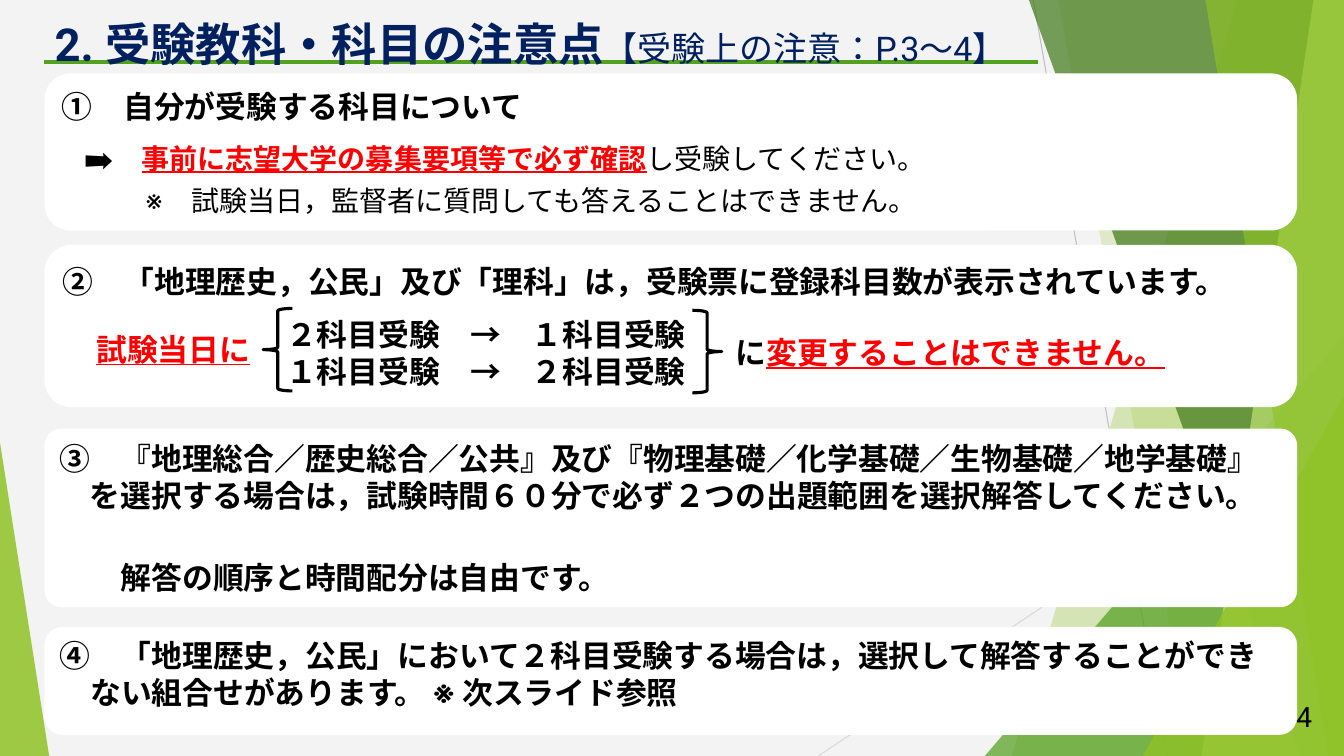
from dataclasses import dataclass
from lxml.etree import SubElement as Sub
from pptx import Presentation
from pptx.dml.color import RGBColor as Rgb
from pptx.enum.lang import MSO_LANGUAGE_ID as Lang
from pptx.enum.shapes import MSO_CONNECTOR as Conn, MSO_SHAPE as Kind
from pptx.enum.text import MSO_ANCHOR as Anchor, MSO_AUTO_SIZE as Auto, PP_ALIGN as Align
from pptx.oxml.ns import qn
from pptx.util import Cm, Pt


@dataclass(frozen=True)
class Theme:
    back: str = "F3F3F3"
    white: str = "FFFFFF"
    black: str = "000000"
    navy: str = "002060"
    red: str = "FF0000"
    lime: str = "90C226"
    green: str = "54A021"
    moss: str = "3F7819"
    pale: str = "C0E474"
    grey: str = "BFBFBF"
    mist: str = "D9D9D9"
    title: float = 32.4
    sub: float = 24.3
    body: float = 22
    note: float = 20
    font: str = "Roboto"
    label: str = "Arial"


T = Theme()
W, H = 33.87, 19.05
LEFT, WIDE = 1.12, 31.57
ALERT = dict(color=T.red, line=True)
PLAIN = dict(size=T.note, bold=False)

TITLE = [([("2. 受験教科・科目の注意点", {}),
           ("【受験上の注意：P.3～4】", dict(size=T.sub, bold=False))], {})]

RAYS = [
    ("line", 26.04, 0, 29.41, H, T.grey),
    ("line", W, 10.24, 20.62, H, T.mist),
]
FACETS = [
    ("band", 31.19, 25.5, T.lime, 30),
    ("band", 26.67, 30.05, T.lime, 20),
    ("peak", 24.82, 8.46, T.green, 72),
    ("band", 25.93, 32.79, T.moss, 70),
    ("band", 33.1, 30.28, T.pale, 70),
    ("band", 30.38, 33.48, T.lime, 65),
    ("peak", 28.8, 9.98, T.lime, 80),
    ("foot", 1.24, 11.15, T.lime, 85),
]

PANELS = [
    (1.85, 3.96, 0.1667, Anchor.MIDDLE, [
        ([("①　自分が受験する科目について", {})], {}),
        ([("➡　", PLAIN),
          ("事前に志望大学の募集要項等で必ず確認", dict(size=T.note, **ALERT)),
          ("し受験してください。", PLAIN)], dict(before=12, indent=16)),
        ([("※　試験当日，監督者に質問しても答えることはできません。", PLAIN)],
         dict(before=6, indent=60)),
    ]),
    (6.17, 4.09, 0.1667, Anchor.MIDDLE, [
        ([("②　「地理歴史，公民」及び「理科」は，受験票に登録科目数が表示されています。", {})], {}),
        ([("２科目受験　→　１科目受験", {})], dict(before=11.5, indent=160)),
        ([("１科目受験　→　２科目受験", {})], dict(indent=160)),
    ]),
    (10.8, 4.5, 0.094, Anchor.MIDDLE, [
        ([("③　『地理総合／歴史総合／公共』及び『物理基礎／化学基礎／生物基礎／地学基礎』", {})], {}),
        ([("を選択する場合は，試験時間６０分で必ず２つの出題範囲を選択解答してください。", {})],
         dict(indent=22)),
        ([("解答の順序と時間配分は自由です。", {})], dict(before=32, indent=44)),
    ]),
    (15.8, 2.72, 0.1667, Anchor.TOP, [
        ([("④　「地理歴史，公民」において２科目受験する場合は，選択して解答することができ", {})], {}),
        ([("ない組合せがあります。 ※ 次スライド参照", {})], dict(indent=22)),
    ]),
]

BRACES = [(17.45, 7.82, 0), (6.63, 7.77, 180)]
LABELS = [
    (18.29, 8.28, 13.79, [("に", {}), ("変更することはできません。", ALERT)]),
    (2.18, 8.2, 5.38, [("試験当日に", ALERT)]),
]


def write(frame, paras, size=T.body, font=T.font, color=T.black, bold=True,
          anchor=Anchor.MIDDLE, align=Align.LEFT):
    """Fill a text frame with paragraphs of formatted runs."""
    frame.word_wrap = True
    frame.auto_size = Auto.NONE
    frame.vertical_anchor = anchor
    for i, (runs, form) in enumerate(paras):
        para = frame.add_paragraph() if i else frame.paragraphs[0]
        para.alignment = align
        para.space_before = Pt(form.get("before", 0))
        if "indent" in form:
            props = para._p.get_or_add_pPr()
            props.set("marL", str(Pt(form["indent"])))
            props.set("indent", "0")
        for words, look in runs:
            run = para.add_run()
            run.text = words
            face = run.font
            face.name = font
            face.language_id = Lang.JAPANESE
            face.size = Pt(look.get("size", size))
            face.bold = look.get("bold", bold)
            face.underline = look.get("line", False)
            face.color.rgb = Rgb.from_string(look.get("color", color))
            Sub(run._r.get_or_add_rPr(), qn("a:ea")).set("typeface", font)


def paint(shape, color, alpha=100):
    """Give a shape a flat fill without outline or shadow."""
    shape.shadow.inherit = False
    shape.line.fill.background()
    shape.fill.solid()
    shape.fill.fore_color.rgb = Rgb.from_string(color)
    if alpha < 100:
        tint = shape.fill._xPr.find(".//" + qn("a:srgbClr"))
        Sub(tint, qn("a:alpha")).set("val", str(alpha * 1000))


def rule(shapes, x1, y1, x2, y2, color, width):
    """Draw a straight line."""
    line = shapes.add_connector(Conn.STRAIGHT, Cm(x1), Cm(y1), Cm(x2), Cm(y2))
    line.line.color.rgb = Rgb.from_string(color)
    line.line.width = Pt(width)
    Sub(line._element.spPr, qn("a:effectLst"))


def facet(shapes, kind, a, b, color, alpha):
    """Draw one translucent piece of the backdrop."""
    if kind == "band":
        form = shapes.build_freeform(Cm(a), 0)
        form.add_line_segments([(Cm(W), 0), (Cm(W), Cm(H)), (Cm(b), Cm(H))])
        shape = form.convert_to_shape()
    else:
        x, wide = (a, W - a) if kind == "peak" else (0, a)
        shape = shapes.add_shape(Kind.ISOSCELES_TRIANGLE, Cm(x), Cm(b), Cm(wide), Cm(H - b))
        shape.adjustments[0] = 1 if kind == "peak" else 0
    paint(shape, color, alpha)


def main():
    """Build the slide and save it."""
    deck = Presentation()
    deck.slide_width, deck.slide_height = Cm(W), Cm(H)
    slide = deck.slides.add_slide(deck.slide_layouts[5])
    slide.background.fill.solid()
    slide.background.fill.fore_color.rgb = Rgb.from_string(T.back)
    shapes = slide.shapes

    for _, x1, y1, x2, y2, color in RAYS:
        rule(shapes, x1, y1, x2, y2, color, 0.75)
    for piece in FACETS:
        facet(shapes, *piece)
    rule(shapes, LEFT, 1.57, 26.16, 1.57, T.green, 3)

    head = shapes.title
    head.left, head.top, head.width, head.height = Cm(LEFT), Cm(0.3), Cm(25.78), Cm(1.57)
    write(head.text_frame, TITLE, size=T.title, color=T.navy)
    shapes._spTree.append(head._element)

    for top, high, curve, anchor, paras in PANELS:
        panel = shapes.add_shape(Kind.ROUNDED_RECTANGLE, Cm(LEFT), Cm(top), Cm(WIDE), Cm(high))
        panel.adjustments[0] = curve
        paint(panel, T.white)
        write(panel.text_frame, paras, anchor=anchor)

    for x, y, turn in BRACES:
        brace = shapes.add_shape(Kind.RIGHT_BRACE, Cm(x), Cm(y), Cm(0.74), Cm(2.08))
        brace.rotation = turn
        brace.shadow.inherit = False
        brace.fill.background()
        brace.line.color.rgb = Rgb.from_string(T.black)
        brace.line.width = Pt(2.25)

    for x, y, wide, runs in LABELS:
        box = shapes.add_textbox(Cm(x), Cm(y), Cm(wide), Cm(1.19))
        write(box.text_frame, [(runs, {})], font=T.label, anchor=Anchor.TOP)

    page = shapes.add_textbox(Cm(31.42), Cm(17.53), Cm(1.9), Cm(1.02))
    write(page.text_frame, [([("4", {})], {})], size=T.note, bold=False, align=Align.RIGHT)

    deck.save("out.pptx")


if __name__ == "__main__":
    main()
